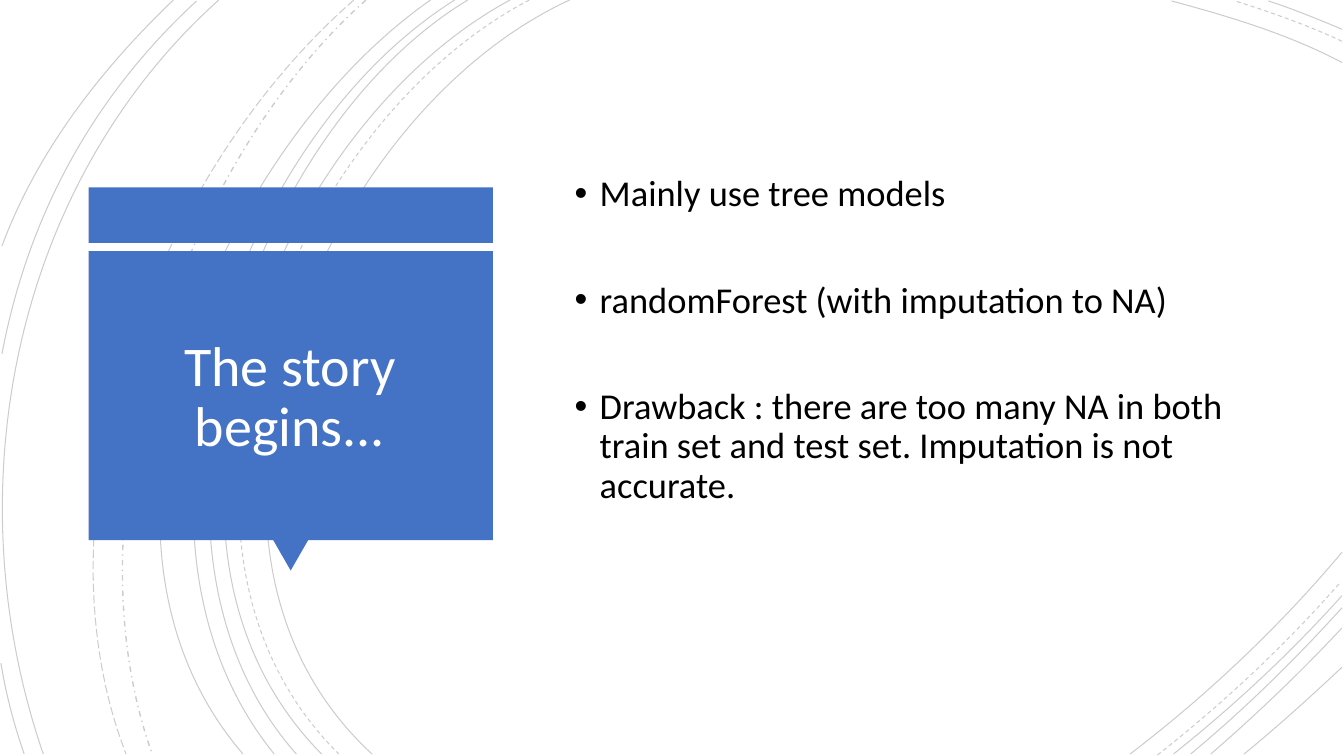
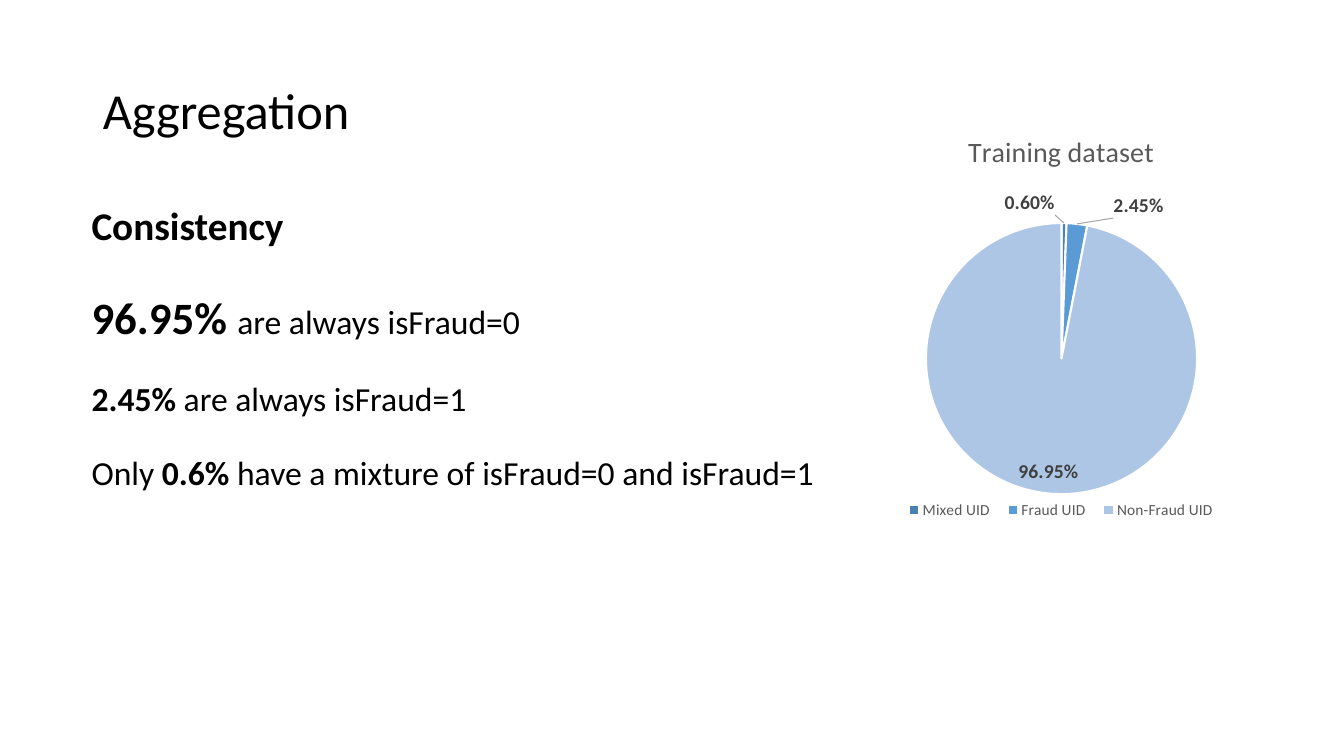
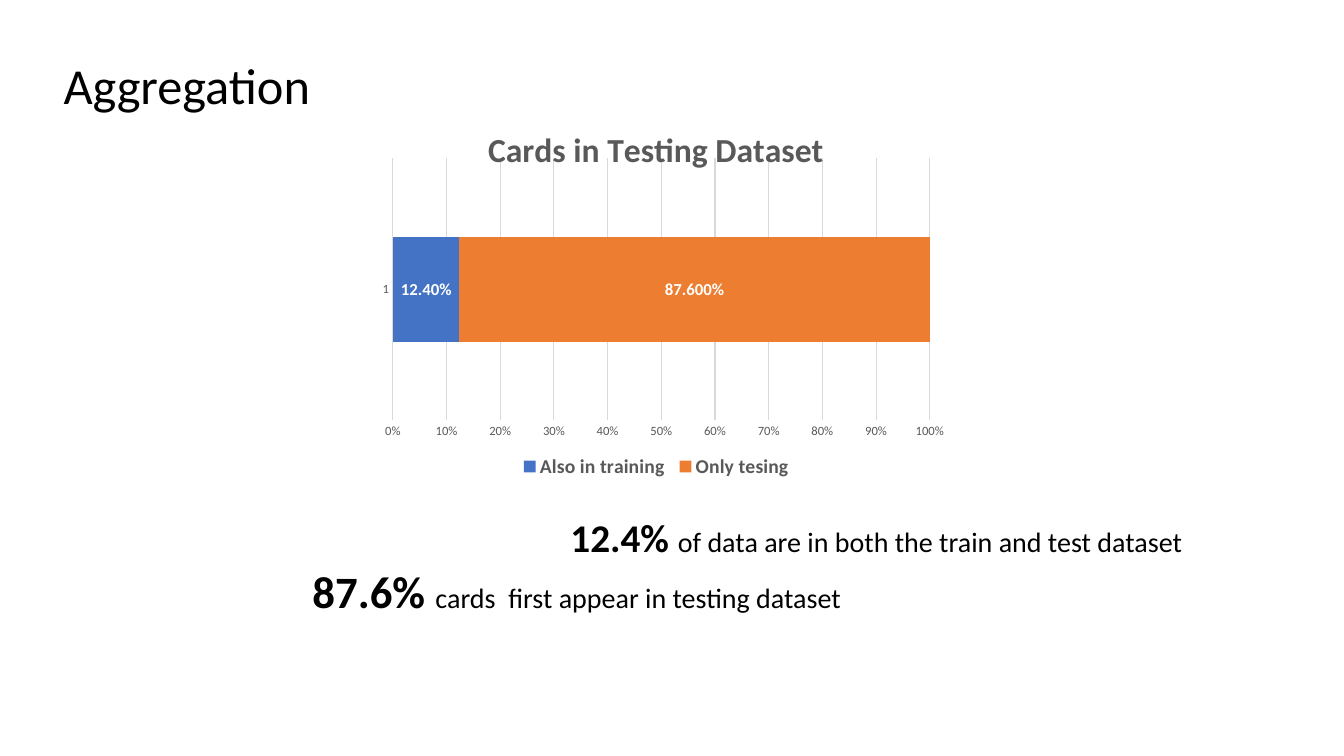
from pptx import Presentation
from pptx.chart.data import CategoryChartData
from pptx.dml.color import RGBColor
from pptx.enum.chart import XL_CHART_TYPE, XL_LABEL_POSITION, XL_LEGEND_POSITION, XL_TICK_MARK
from pptx.enum.dml import MSO_LINE
from pptx.enum.shapes import MSO_SHAPE
from pptx.enum.text import MSO_ANCHOR, PP_ALIGN
from pptx.oxml.ns import qn
from pptx.util import Inches, Pt
from lxml.etree import SubElement

WIDE, HIGH = 13.33, 7.5
FONT = "Calibri"
INK = {
    "text": "000000", "white": "FFFFFF", "blue": "4472C4", "orange": "ED7D31",
    "grey": "595959", "label": "404040", "grid": "D9D9D9", "lead": "A6A6A6",
    "mixed": "4B81B1", "fraud": "5B9BD5", "clean": "ADC6E5",
}
DASH = {"dash": MSO_LINE.DASH, "dot": MSO_LINE.DASH_DOT, "long": MSO_LINE.LONG_DASH}
ARCS = [
    ("", (5.65, 0), (3.15, 1.15), (1.43, 5.4), (3.69, 7.48)),
    ("", (13.31, 0.62), (12.78, 0.34), (12.18, 0.16), (11.62, 0.01)),
    ("", (11.21, 7.48), (11.97, 6.9), (12.69, 6.22), (13.31, 5.48)),
    ("dash", (5.25, 0), (2.85, 1.25), (1.23, 5.37), (3.36, 7.48)),
    ("dash", (13.31, 0.41), (12.97, 0.25), (12.6, 0.12), (12.25, 0.01)),
    ("dash", (11.48, 7.49), (12.13, 6.98), (12.75, 6.4), (13.3, 5.77)),
    ("", (5.06, 0), (2.7, 1.27), (1.1, 5.37), (3.19, 7.48)),
    ("", (13.31, 0.29), (13.07, 0.19), (12.83, 0.09), (12.58, 0.01)),
    ("", (11.64, 7.48), (12.23, 7.01), (12.8, 6.48), (13.31, 5.91)),
    ("", (4.64, 0), (2.44, 1.33), (1.1, 5.41), (2.94, 7.48)),
    ("", (11.81, 7.48), (12.34, 7.04), (12.84, 6.55), (13.31, 6.03)),
    ("", (4.51, 0), (2.31, 1.38), (0.97, 5.33), (2.72, 7.48)),
    ("", (12.01, 7.48), (12.46, 7.09), (12.9, 6.67), (13.31, 6.23)),
    ("", (4.27, 0), (2.17, 1.47), (0.53, 5.29), (2.41, 7.48)),
    ("", (12.34, 7.48), (12.67, 7.21), (12.99, 6.92), (13.31, 6.62)),
    ("dot", (3.63, 0), (1.76, 1.66), (0.65, 5.09), (1.51, 7.48)),
    ("long", (3.51, 0), (1.57, 1.69), (0.29, 4.99), (1.25, 7.48)),
    ("", (2.17, 0), (0.11, 1.85), (-0.46, 4.9), (0.43, 7.48)),
    ("", (1.95, 0.01), (0.92, 0.96), (0.28, 2.14), (0.02, 3.51)),
    ("", (0.01, 6.58), (0.06, 6.89), (0.14, 7.19), (0.24, 7.48)),
    ("", (1.72, 0), (1, 0.69), (0.37, 1.5), (0.02, 2.44)),
]


def tint(name):
    return RGBColor.from_string(INK[name])


def apply(item, **vals):
    for key, val in vals.items():
        setattr(item, key, val)


def style(font, size, color="text", bold=False):
    apply(font, name=FONT, size=Pt(size), bold=bold)
    font.color.rgb = tint(color)


def part(box, x, y, w, h):
    left, top, wide, high = box
    return [Inches(v) for v in (left + x * wide, top + y * high, w * wide, h * high)]


def write(par, runs, color="text", **form):
    apply(par, **form)
    for text, size, bold in runs:
        run = par.add_run()
        run.text = text
        style(run.font, size, color, bold)


def title(slide, box, text, size=36, color="text", align=PP_ALIGN.LEFT):
    shape = slide.shapes.title
    left, top, wide, high = part(box, 0, 0, 1, 1)
    apply(shape, left=left, top=top, width=wide, height=high)
    apply(shape.text_frame, word_wrap=True, vertical_anchor=MSO_ANCHOR.MIDDLE)
    write(shape.text_frame.paragraphs[0], [(text, size, False)], color,
          alignment=align, line_spacing=0.9)
    slide.shapes._spTree.append(shape._element)


def prose(slide, box, rows, bullet=False):
    frame = slide.shapes.add_textbox(*part(box, 0, 0, 1, 1)).text_frame
    frame.word_wrap = True
    for i, (runs, lead, gap) in enumerate(rows):
        par = frame.add_paragraph() if i else frame.paragraphs[0]
        write(par, runs, line_spacing=lead, space_before=Pt(gap if i else 0))
        if bullet:
            prop = par._p.get_or_add_pPr()
            prop.set("marL", str(Inches(0.25)))
            prop.set("indent", str(Inches(-0.25)))
            SubElement(prop, qn("a:buFont")).set("typeface", "Arial")
            SubElement(prop, qn("a:buChar")).set("char", "•")


def arcs(slide):
    for dash, *ends in ARCS:
        dots = [[Inches(v) for v in end] for end in ends]
        draw = slide.shapes.build_freeform(*dots[0])
        draw.add_line_segments(dots[1:], close=False)
        arc = draw.convert_to_shape()
        legs = arc._element.findall(".//" + qn("a:lnTo"))
        curve = SubElement(legs[0].getparent(), qn("a:cubicBezTo"))
        for leg in legs:
            curve.append(leg[0])
            leg.getparent().remove(leg)
        arc.shadow.inherit = False
        arc.fill.background()
        arc.line.width = Pt(1 if dash == "dot" else 0.75)
        arc.line.color.rgb = tint("text")
        if dash:
            arc.line.dash_style = DASH[dash]
        shade = arc._element.spPr.find(".//" + qn("a:srgbClr"))
        SubElement(shade, qn("a:alpha")).set("val", "20000")


def card(slide, box, text):
    parts = [
        (MSO_SHAPE.RECTANGLE, (0, 0, 1, 0.145), 0),
        (MSO_SHAPE.ISOSCELES_TRIANGLE, (0.456, 0.92, 0.087, 0.08), 180),
        (MSO_SHAPE.RECTANGLE, (0, 0.166, 1, 0.755), 0),
    ]
    for kind, share, turn in parts:
        shape = slide.shapes.add_shape(kind, *part(box, *share))
        shape.rotation = turn
        shape.shadow.inherit = False
        shape.fill.solid()
        shape.fill.fore_color.rgb = tint("blue")
        shape.line.fill.background()
    left, top, wide, high = box
    inner = (left + 0.11, top + 0.205 * high, wide - 0.24, 0.69 * high)
    title(slide, inner, text, 40, "white", PP_ALIGN.CENTER)


def place(node, index, edge=True, inner=False, **spots):
    for old in node.findall(qn("c:layout")):
        node.remove(old)
    lay = SubElement(node, qn("c:layout"))
    node.insert(index, lay)
    man = SubElement(lay, qn("c:manualLayout"))
    vals = {"layoutTarget": "inner"} if inner else {}
    if edge:
        vals.update(xMode="edge", yMode="edge")
    vals.update({key: val / 100 for key, val in spots.items()})
    for key, val in vals.items():
        SubElement(man, qn("c:" + key)).set("val", str(val))


def graph(slide, box, kind, cats, series, head, key, spots):
    data = CategoryChartData()
    data.categories = cats
    for name, vals, form in series:
        data.add_series(name, vals, number_format=form)
    chart = slide.shapes.add_chart(kind, *part(box, 0, 0, 1, 1), data).chart
    style(chart.font, 10)
    chart.has_title = True
    text, size, bold = head
    write(chart.chart_title.text_frame.paragraphs[0], [(text, size, bold)], "grey")
    chart.has_legend = True
    apply(chart.legend, position=XL_LEGEND_POSITION.BOTTOM, include_in_layout=False)
    style(chart.legend.font, key[0], "grey", key[1])
    place(chart.chart_title._element, 1, **spots["title"])
    place(chart.legend._element, 1, **spots["legend"])
    place(chart._chartSpace.find(".//" + qn("c:plotArea")), 0, inner=True, **spots["plot"])
    return chart


def leads(row):
    line = SubElement(row._element.find(qn("c:dLbls")), qn("c:leaderLines"))
    stroke = SubElement(SubElement(line, qn("c:spPr")), qn("a:ln"), w=str(Pt(0.75)))
    fill = SubElement(stroke, qn("a:solidFill"))
    SubElement(fill, qn("a:srgbClr")).set("val", INK["lead"])


def pie(slide, box):
    chart = graph(
        slide, box, XL_CHART_TYPE.PIE, ["Mixed UID", "Fraud UID", "Non-Fraud UID"],
        [("Series 1", (0.006, 0.0245, 0.9695), "0.00%")],
        ("Training dataset", 20, False), (11, False),
        {"title": dict(x=36.3, y=3.2), "legend": dict(x=27, y=88.8, w=46, h=7),
         "plot": dict(x=31.1, y=25.6, w=37.9, h=63)})
    plot = chart.plots[0]
    plot.vary_by_categories = True
    row = plot.series[0]
    apply(row.data_labels, show_value=True, number_format="0.00%", number_format_is_linked=False)
    style(row.data_labels.font, 14, "label", True)
    out, deep = XL_LABEL_POSITION.OUTSIDE_END, XL_LABEL_POSITION.INSIDE_END
    looks = [("mixed", out, (-4.8, -0.5)), ("fraud", out, (5, 0)), ("clean", deep, (-4.3, -1))]
    for i, (color, spot, shift) in enumerate(looks):
        point = row.points[i]
        point.format.fill.solid()
        point.format.fill.fore_color.rgb = tint(color)
        point.format.line.color.rgb = tint("white")
        point.format.line.width = Pt(1.5)
        style(point.data_label.font, 14, "label", True)
        point.data_label.position = spot
        label = row._element.findall(".//" + qn("c:dLbl"))[i]
        place(label, 1, edge=False, x=shift[0], y=shift[1])
    leads(row)


def bars(slide, box):
    chart = graph(
        slide, box, XL_CHART_TYPE.BAR_STACKED_100, ["1"],
        [("Also in training", (0.124,), "0.00%"), ("Only tesing", (0.876,), "0.000%")],
        ("Cards in Testing Dataset", 24, True), (14, True),
        {"title": dict(x=20.3, y=2.3), "legend": dict(x=26, y=91.2, w=48, h=9),
         "plot": dict(x=5.1, y=12.3, w=91.5, h=70.8)})
    plot = chart.plots[0]
    apply(plot, gap_width=150, overlap=100, vary_by_categories=False)
    for row, color, form in zip(plot.series, ("blue", "orange"), ("0.00%", "0.000%")):
        row.format.fill.solid()
        row.format.fill.fore_color.rgb = tint(color)
        apply(row.data_labels, show_value=True, number_format=form,
              number_format_is_linked=False, position=XL_LABEL_POSITION.CENTER)
        style(row.data_labels.font, 12, "white", True)
    for axis in (chart.category_axis, chart.value_axis):
        apply(axis, major_tick_mark=XL_TICK_MARK.NONE, minor_tick_mark=XL_TICK_MARK.NONE)
        style(axis.tick_labels.font, 9, "grey")
    axis.format.line.fill.background()
    apply(axis.tick_labels, number_format="0%", number_format_is_linked=False)
    apply(axis, maximum_scale=1, minimum_scale=0, major_unit=0.1, has_major_gridlines=True)
    for line in (chart.category_axis.format.line, axis.major_gridlines.format.line):
        line.color.rgb = tint("grid")
        line.width = Pt(0.75)


def story(slide):
    arcs(slide)
    card(slide, (0.88, 1.86, 4.01, 3.8), "The story begins...")
    items = ["Mainly use tree models", "randomForest (with imputation to NA)",
             "Drawback : there are too many NA in both train set and test set. "
             "Imputation is not accurate."]
    prose(slide, (5.6, 1.69, 6.87, 3.6), [([(t, 26, False)], 0.9, 48) for t in items], True)


def shares(slide):
    title(slide, (0.92, 0.4, 11.5, 1.45), "Aggregation")
    prose(slide, (0.81, 2, 8.53, 3.62), [
        ([("Consistency", 28, True)], 0.9, 10),
        ([("96.95% ", 32, True), ("are always isFraud=0", 24, False)], 1.5, 10),
        ([("2.45% ", 24, True), ("are always isFraud=1", 24, False)], 1.5, 10),
        ([("Only ", 24, False), ("0.6% ", 24, True),
          ("have a mixture of isFraud=0 and isFraud=1", 24, False)], 1.5, 10),
    ])
    pie(slide, (6.97, 1.12, 7.11, 4.27))


def cards(slide):
    title(slide, (0.53, 0.3, 11.5, 1.14), "Aggregation")
    facts = [((3, 5.54, 6.09, 0.64), "87.6% ", 32, "cards  first appear in testing dataset"),
             ((5.56, 5.04, 6.95, 0.57), "12.4% ", 28,
              "of data are in both the train and test dataset")]
    for box, rate, size, text in facts:
        prose(slide, box, [([(rate, size, True), (text, 20, False)], 1, 0)])
    bars(slide, (3.6, 1.12, 5.82, 3.67))


def main():
    deck = Presentation()
    apply(deck, slide_width=Inches(WIDE), slide_height=Inches(HIGH))
    for fill in (story, shares, cards):
        fill(deck.slides.add_slide(deck.slide_layouts[5]))
    deck.save("out.pptx")


if __name__ == "__main__":
    main()
